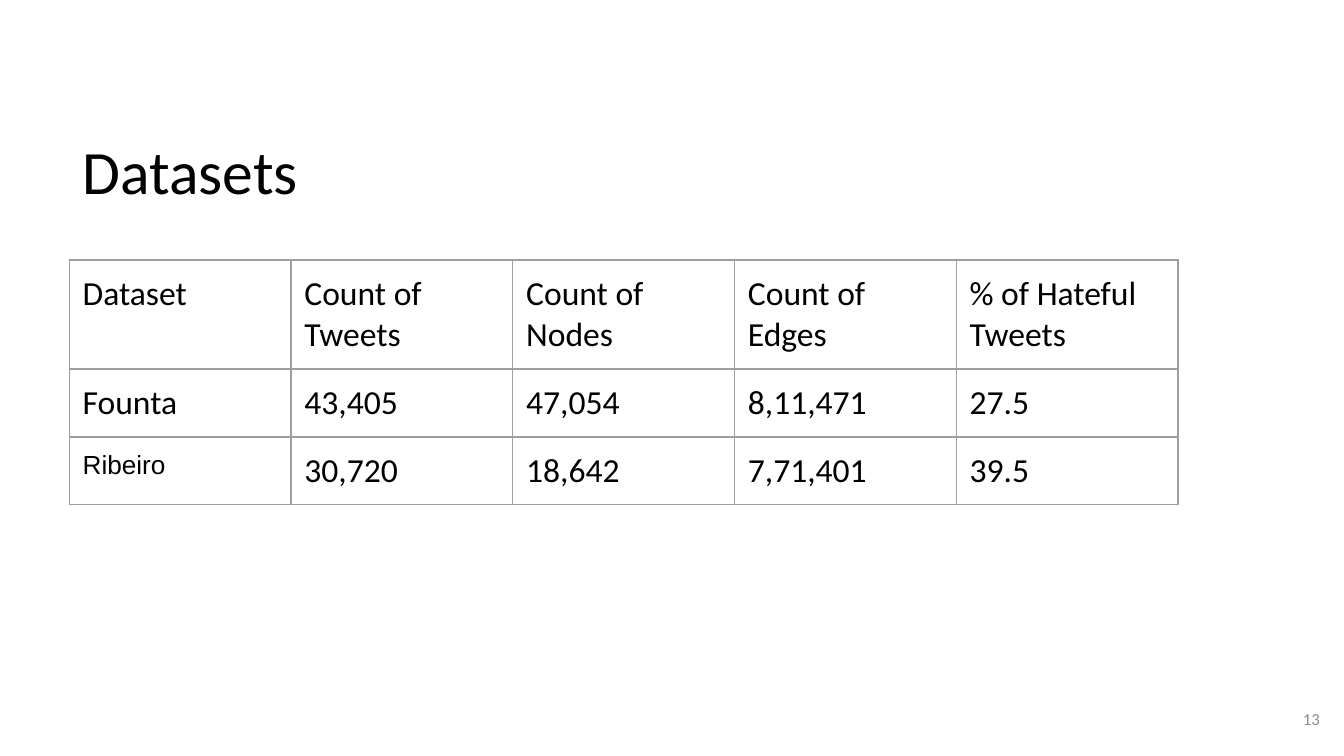
from lxml import etree
from pptx import Presentation
from pptx.dml.color import RGBColor
from pptx.enum.text import MSO_ANCHOR, MSO_AUTO_SIZE, PP_ALIGN
from pptx.oxml.ns import qn
from pptx.util import Emu, Pt

EMU_PER_PX = 4572
TITLE_ONLY = 5
LEFT, RIGHT = PP_ALIGN.LEFT, PP_ALIGN.RIGHT
TOP, MIDDLE, BOTTOM = MSO_ANCHOR.TOP, MSO_ANCHOR.MIDDLE, MSO_ANCHOR.BOTTOM
NO_AUTOFIT = MSO_AUTO_SIZE.NONE
COLORS = {"text": "000000", "number": "8C8C8C", "border": "9E9E9E"}
INSET = 20
ROW_HEIGHT = 84
BORDER_WIDTH = Pt(0.75)
BORDER_TAGS = ("a:lnL", "a:lnR", "a:lnT", "a:lnB")
ROWS = [
    ["Dataset", "Count of Tweets", "Count of Nodes", "Count of Edges", "% of Hateful Tweets"],
    ["Founta", "43,405", "47,054", "8,11,471", "27.5"],
    ["Ribeiro", "30,720", "18,642", "7,71,401", "39.5"],
]
BODY_FONT = {"name": "Calibri", "size": Pt(18), "bold": False}
SPECIAL_FONTS = {"Ribeiro": {"name": "Arial", "size": Pt(14)}}


def px(length):
    """Turn pixels into EMU."""
    return Emu(length * EMU_PER_PX)


def set_attributes(target, values):
    """Set every attribute in a dict of format values."""
    for name, value in values.items():
        setattr(target, name, value)


def write_paragraph(paragraph, text, font, color, paragraph_format):
    """Write one formatted run into a paragraph."""
    run = paragraph.add_run()
    run.text = text
    set_attributes(run.font, font)
    run.font.color.rgb = RGBColor.from_string(COLORS[color])
    set_attributes(paragraph, paragraph_format)


def set_margins(target):
    """Give a text frame or a cell equal insets."""
    set_attributes(target, {f"margin_{side}": px(INSET) for side in ("left", "right", "top", "bottom")})


def format_frame(frame, anchor):
    """Set the insets, wrapping and anchor of a text frame."""
    set_margins(frame)
    set_attributes(frame, {"word_wrap": True, "auto_size": NO_AUTOFIT, "vertical_anchor": anchor})


def add_title(slide, box):
    """Place the slide title in its box."""
    title = slide.shapes.title
    set_attributes(title, dict(zip(("left", "top", "width", "height"), map(px, box))))
    format_frame(title.text_frame, BOTTOM)
    write_paragraph(title.text_frame.paragraphs[0], "Datasets", {**BODY_FONT, "size": Pt(33)},
                    "text", {"alignment": LEFT, "line_spacing": 0.9})


def add_borders(cell):
    """Draw a thin line on all four sides of a cell."""
    properties = cell._tc.get_or_add_tcPr()
    for index, tag in enumerate(BORDER_TAGS):
        line = etree.Element(qn(tag), w=str(BORDER_WIDTH))
        fill = etree.SubElement(line, qn("a:solidFill"))
        etree.SubElement(fill, qn("a:srgbClr"), val=COLORS["border"])
        properties.insert(index, line)


def add_dataset_table(slide, box):
    """Place the dataset table with equal columns in its box."""
    graphic_frame = slide.shapes.add_table(len(ROWS), len(ROWS[0]), *map(px, box))
    table = graphic_frame.table
    set_attributes(table, {"first_row": False, "horz_banding": False})
    for row, texts in zip(table.rows, ROWS):
        row.height = px(ROW_HEIGHT)
        for cell, text in zip(row.cells, texts):
            set_margins(cell)
            cell.vertical_anchor = TOP
            cell.fill.background()
            add_borders(cell)
            font = {**BODY_FONT, **SPECIAL_FONTS.get(text, {})}
            write_paragraph(cell.text_frame.paragraphs[0], text, font, "text", {"alignment": LEFT})
    graphic_frame.height = px(box[3])


def add_slide_number(slide, box):
    """Place the slide number in its box."""
    frame = slide.shapes.add_textbox(*map(px, box)).text_frame
    format_frame(frame, MIDDLE)
    write_paragraph(frame.paragraphs[0], "13", {**BODY_FONT, "size": Pt(9)}, "number", {"alignment": RIGHT})


def main():
    """Build and save the presentation."""
    presentation = Presentation()
    set_attributes(presentation, {"slide_width": px(2000), "slide_height": px(1125)})
    slide = presentation.slides.add_slide(presentation.slide_layouts[TITLE_ONLY])
    add_title(slide, (103, 162, 1798, 168))
    add_dataset_table(slide, (103, 387, 1650, 302))
    add_slide_number(slide, (1864, 1027, 120, 86))
    presentation.save("out.pptx")


if __name__ == "__main__":
    main()
